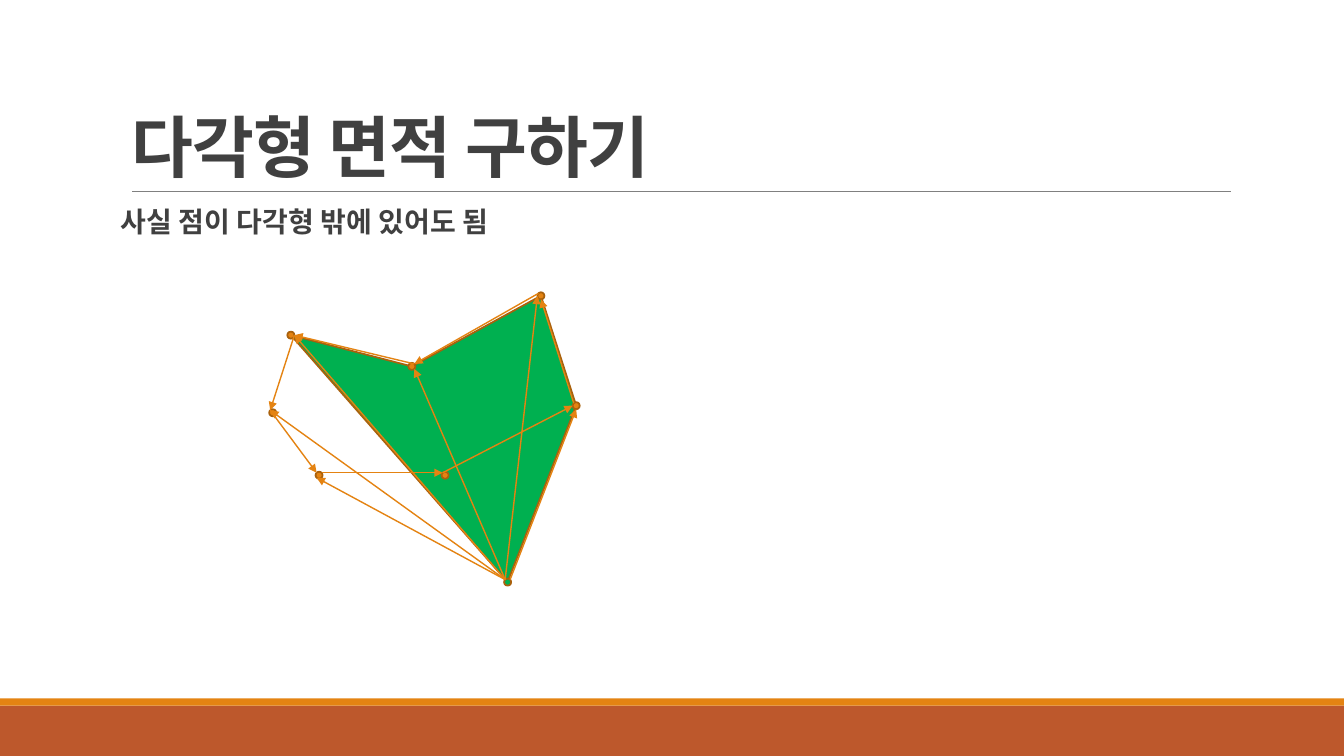
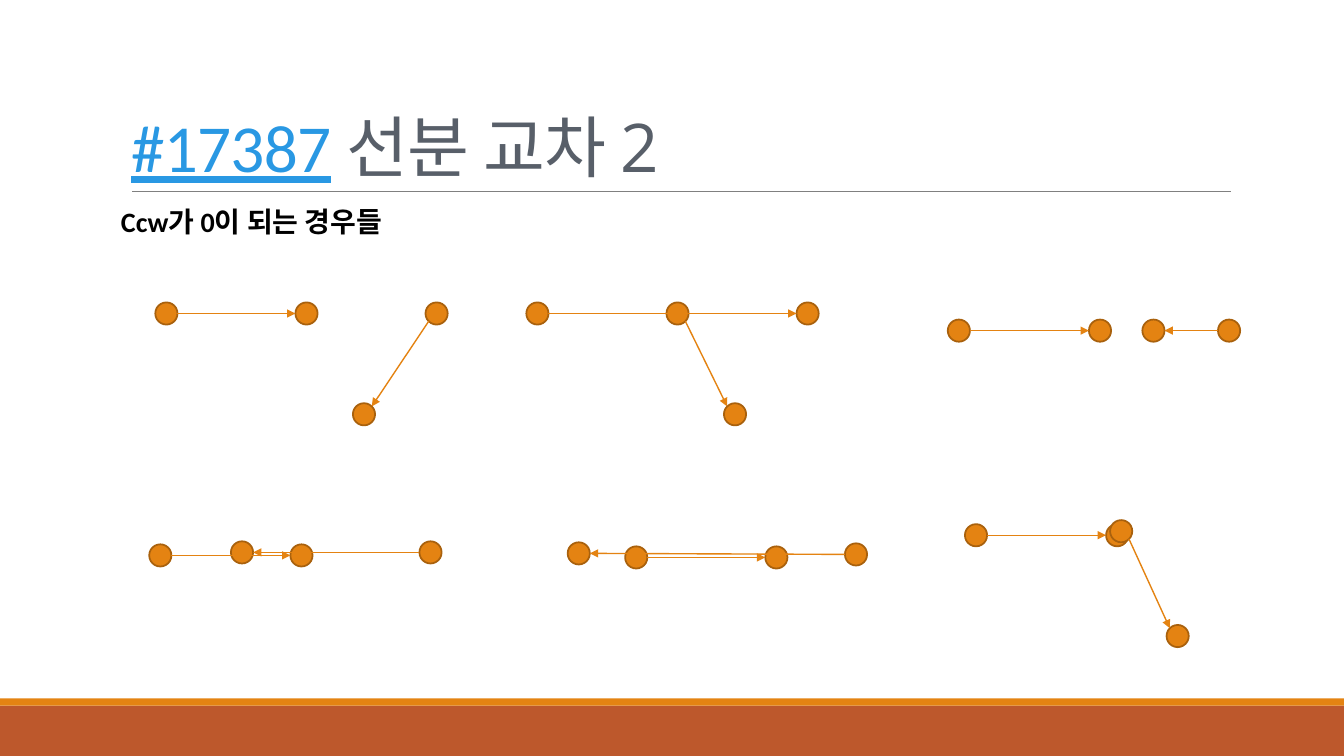
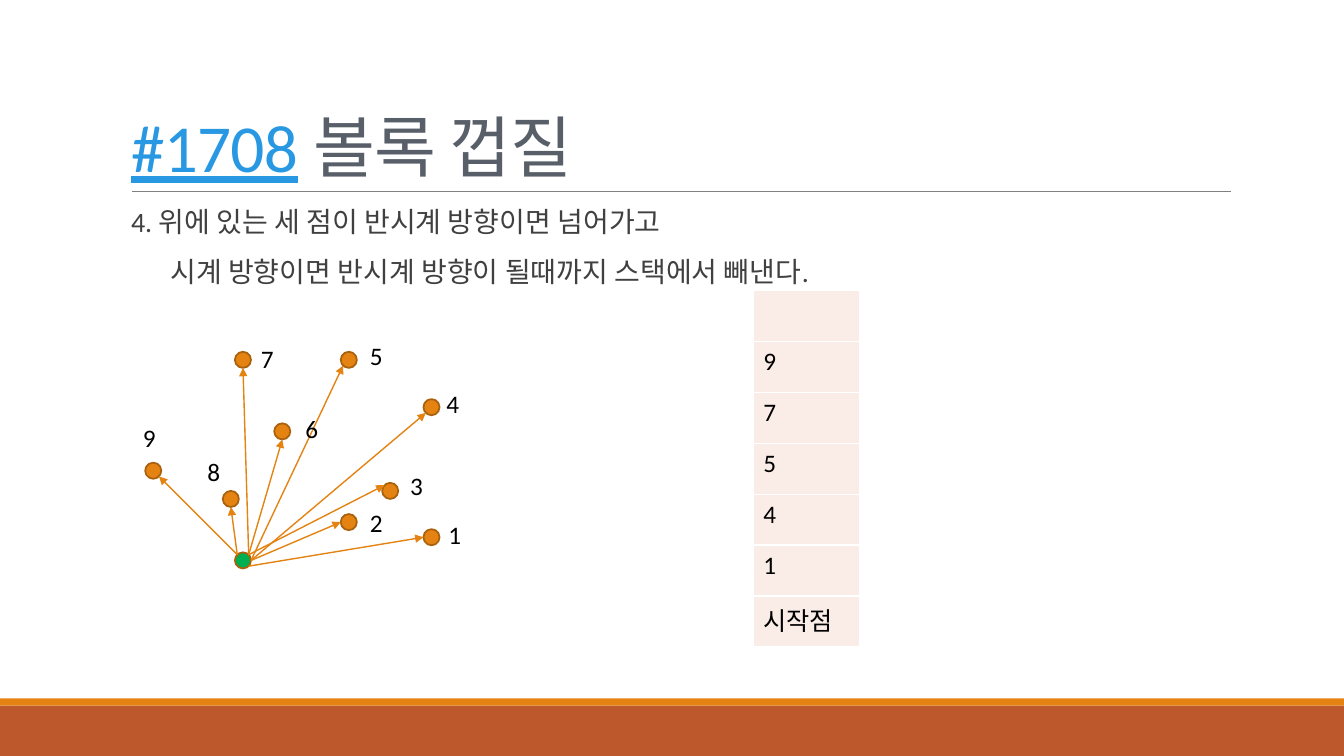
import lxml.etree
import pptx
import pptx.dml.color
import pptx.enum.shapes
import pptx.enum.text
import pptx.oxml.ns
import pptx.util

ORANGE, RUST, GREEN, BROWN = "E48312", "BD582C", "00B050", "A9610D"
DARK, SLATE, BLUE, GRAY = "404040", "585F69", "2998E3", "808080"
BLACK, WHITE, BLUSH = "000000", "FFFFFF", "FAEDE7"

BANDS = [((0, 7, 13.33, 0.5), RUST), ((0, 6.93, 13.33, 0.07), ORANGE)]
RULE = (1.31, 1.9, 12.21, 1.9)
TITLE_AREA = (1.2, 0.31, 11, 1.59)
BODY_AREA = (1.2, 2.02, 11, 4.4)

TITLE_FONT = {"name": "Calibri", "size": pptx.util.Pt(48), "bold": False, "underline": False}
BOLD_TITLE = TITLE_FONT | {"bold": True}
LINK_TITLE = TITLE_FONT | {"underline": True}
KOREAN_TITLE = TITLE_FONT | {"name": "Open Sans"}
BODY_FONT = {"name": "Calibri", "size": pptx.util.Pt(20), "bold": False}
BOLD_BODY = BODY_FONT | {"bold": True}
LABEL_FONT = {"name": "Calibri", "size": pptx.util.Pt(18)}
TITLE_SPACING = {"line_spacing": 0.85, "alignment": pptx.enum.text.PP_ALIGN.LEFT}
BODY_SPACING = {
    "line_spacing": 0.9,
    "space_before": pptx.util.Pt(12),
    "space_after": pptx.util.Pt(2),
}

DIAGONAL = 0.707
SITES = {
    "N": (0, -1), "S": (0, 1), "W": (-1, 0), "E": (1, 0),
    "NW": (-DIAGONAL, -DIAGONAL), "NE": (DIAGONAL, -DIAGONAL),
    "SW": (-DIAGONAL, DIAGONAL), "SE": (DIAGONAL, DIAGONAL),
}

AREA_TITLE = [("다각형 면적 구하기", BOLD_TITLE, DARK)]
AREA_BODY = [("사실 점이 다각형 밖에 있어도 됨", 0)]
AREA_DOT = 0.07
AREA_DOTS = [
    (5, 5.74), (3.13, 4.68), (4.38, 4.68), (5.68, 3.99),
    (5.33, 2.9), (4.05, 3.6), (2.85, 3.29), (2.67, 4.06),
]
AREA_OUTLINE = [0, 3, 4, 5, 6]
AREA_ARROWS = [
    (1, "NE", 2, "NW"), (2, "NW", 3, "W"), (3, "NW", 4, "S"), (4, "NW", 5, "NE"),
    (5, "NE", 6, "E"), (6, "E", 7, "NW"), (7, "NW", 1, "NW"),
    (0, "NE", 3, "S"), (0, "NW", 4, "W"), (0, "NW", 5, "SE"),
    (0, "NW", 6, "E"), (0, "NW", 7, "NW"), (0, "NW", 1, "SW"),
]

CROSS_TITLE = [("#17387", LINK_TITLE, BLUE), (" ", TITLE_FONT, DARK), ("선분 교차 2", KOREAN_TITLE, SLATE)]
CROSS_BODY = [("Ccw가 0이 되는 경우들", 0)]
CROSS_DOT = 0.22
CROSS_CASES = [
    ([(1.54, 3), (2.93, 3), (4.22, 3), (3.5, 4)], [(0, "E", 1, "W"), (2, "SW", 3, "NE")]),
    ([(5.22, 3), (6.61, 3), (7.9, 3), (7.18, 4)], [(0, "E", 2, "W"), (1, "SE", 3, "NW")]),
    ([(1.48, 5.4), (2.88, 5.4), (4.16, 5.37), (2.29, 5.37)], [(0, "E", 1, "W"), (2, "W", 3, "E")]),
    ([(9.4, 3.17), (10.8, 3.17), (12.08, 3.17), (11.33, 3.17)], [(0, "E", 1, "W"), (2, "W", 3, "E")]),
    ([(6.2, 5.42), (7.59, 5.42), (8.38, 5.39), (5.63, 5.38)], [(0, "E", 1, "W"), (2, "W", 3, "E")]),
    ([(9.57, 5.2), (10.97, 5.2), (11.01, 5.16), (11.57, 6.2)], [(0, "E", 1, "W"), (2, "SE", 3, "NW")]),
]

HULL_TITLE = [("#1708", LINK_TITLE, BLUE), (" ", TITLE_FONT, DARK), ("볼록 껍질", KOREAN_TITLE, SLATE)]
HULL_BODY = [
    ("4. 위에 있는 세 점이 반시계 방향이면 넘어가고", 0.1),
    ("시계 방향이면 반시계 방향이 될때까지 스택에서 빼낸다.", 0.49),
]
HULL_DOT = 0.16
HULL_DOTS = [
    (2.33, 5.48), (4.2, 5.25), (3.38, 5.1), (3.79, 4.79), (4.2, 3.96),
    (3.38, 3.49), (2.72, 4.2), (2.33, 3.49), (2.21, 4.87), (1.44, 4.59),
]
HULL_ARROWS = [
    (0, "SE", 1, "W"), (0, "E", 2, "W"), (0, "NE", 3, "NW"),
    (0, "E", 4, "SW"), (0, "E", 5, "SW"), (0, "NE", 6, "S"),
    (0, "NE", 7, "S"), (0, "NW", 8, "S"), (0, "NW", 9, "SE"),
]
HULL_LABELS = [
    (4.35, 5.1), (3.57, 4.98), (3.97, 4.62), (4.33, 3.8), (3.57, 3.33),
    (2.93, 4.05), (2.49, 3.36), (1.96, 4.48), (1.32, 4.14),
]
LABEL_SIZE = (1.73, 0.4)
STACK = ["", "9", "7", "5", "4", "1", "시작점"]
STACK_AREA = (7.47, 2.88, 1.06, 3.54)


def length(inches):
    return pptx.util.Cm(inches * 2.54)


def lengths(values):
    return [length(value) for value in values]


def color(hex_string):
    return pptx.dml.color.RGBColor.from_string(hex_string)


def add_xml(parent, tag, **attributes):
    return lxml.etree.SubElement(parent, pptx.oxml.ns.qn(tag), attributes)


def apply(target, values):
    for name, value in values.items():
        setattr(target, name, value)


def add_span(para, text, font, hex_string):
    span = para.add_run()
    span.text = text
    apply(span.font, font)
    span.font.color.rgb = color(hex_string)
    return span


def paint(shape, fill, line=None):
    shape.shadow.inherit = False
    shape.fill.solid()
    shape.fill.fore_color.rgb = color(fill)
    if line:
        shape.line.color.rgb = color(line)
        shape.line.width = pptx.util.Pt(1.25)
    else:
        shape.line.fill.background()


def add_line(shapes, ends, hex_string, width, arrow=False):
    line = shapes.add_connector(pptx.enum.shapes.MSO_CONNECTOR.STRAIGHT, *lengths(ends))
    line.line.color.rgb = color(hex_string)
    line.line.width = pptx.util.Pt(width)
    properties = line._element.spPr
    if arrow:
        add_xml(properties.find(pptx.oxml.ns.qn("a:ln")), "a:tailEnd", type="triangle")
    add_xml(properties, "a:effectLst")


def add_page(deck, title, body, body_font, body_color):
    page = deck.slides.add_slide(deck.slide_layouts[5])
    for area, fill in BANDS:
        band = page.shapes.add_shape(pptx.enum.shapes.MSO_SHAPE.RECTANGLE, *lengths(area))
        paint(band, fill)
    add_line(page.shapes, RULE, GRAY, 0.5)

    heading = page.shapes.title
    apply(heading, dict(zip(("left", "top", "width", "height"), lengths(TITLE_AREA))))
    apply(heading.text_frame, {
        "vertical_anchor": pptx.enum.text.MSO_ANCHOR.BOTTOM,
        "auto_size": pptx.enum.text.MSO_AUTO_SIZE.NONE,
        "word_wrap": True,
    })
    para = heading.text_frame.paragraphs[0]
    apply(para, TITLE_SPACING)
    for text, font, hex_string in title:
        span = add_span(para, text, font, hex_string)
        span.font._element.set("spc", "-50")

    frame = page.shapes.add_textbox(*lengths(BODY_AREA)).text_frame
    apply(frame, {"word_wrap": True, "margin_left": 0, "margin_right": 0})
    for index, (text, indent) in enumerate(body):
        para = frame.add_paragraph() if index else frame.paragraphs[0]
        apply(para, BODY_SPACING)
        para._p.get_or_add_pPr().set("marL", str(length(indent)))
        add_span(para, text, body_font, body_color)
    return page


def center(dot, size):
    return dot[0] + size / 2, dot[1] + size / 2


def site_point(dot, size, site):
    x, y = center(dot, size)
    across, down = SITES[site]
    return x + across * size / 2, y + down * size / 2


def add_graph(shapes, dots, arrows, size, green=None):
    for index, dot in enumerate(dots):
        circle = shapes.add_shape(pptx.enum.shapes.MSO_SHAPE.OVAL, *lengths((*dot, size, size)))
        paint(circle, GREEN if index == green else ORANGE, BROWN)
    for start, start_site, end, end_site in arrows:
        ends = site_point(dots[start], size, start_site) + site_point(dots[end], size, end_site)
        add_line(shapes, ends, ORANGE, 1, arrow=True)


def add_polygon(shapes, points):
    first, *rest = [tuple(lengths(point)) for point in points]
    builder = shapes.build_freeform(*first)
    builder.add_line_segments(rest, close=True)
    paint(builder.convert_to_shape(), GREEN, BROWN)


def add_labels(shapes, places):
    for number, place in enumerate(places, 1):
        frame = shapes.add_textbox(*lengths(place + LABEL_SIZE)).text_frame
        apply(frame, {"word_wrap": True, "auto_size": pptx.enum.text.MSO_AUTO_SIZE.SHAPE_TO_FIT_TEXT})
        add_span(frame.paragraphs[0], str(number), LABEL_FONT, BLACK)


def add_stack(shapes, items):
    table = shapes.add_table(len(items), 1, *lengths(STACK_AREA)).table
    apply(table, {"first_row": False, "horz_banding": False})
    for row, item in enumerate(items):
        cell = table.cell(row, 0)
        properties = cell._tc.get_or_add_tcPr()
        for side in ("a:lnL", "a:lnR", "a:lnT", "a:lnB"):
            border = add_xml(properties, side, w=str(pptx.util.Pt(1)))
            add_xml(add_xml(border, "a:solidFill"), "a:srgbClr", val=WHITE)
        cell.fill.solid()
        cell.fill.fore_color.rgb = color(BLUSH)
        if item:
            add_span(cell.text_frame.paragraphs[0], item, LABEL_FONT, BLACK)


deck = pptx.Presentation()
apply(deck, {"slide_width": length(13.33), "slide_height": length(7.5)})

area_page = add_page(deck, AREA_TITLE, AREA_BODY, BOLD_BODY, DARK)
add_polygon(area_page.shapes, [center(AREA_DOTS[index], AREA_DOT) for index in AREA_OUTLINE])
add_graph(area_page.shapes, AREA_DOTS, AREA_ARROWS, AREA_DOT, green=0)

cross_page = add_page(deck, CROSS_TITLE, CROSS_BODY, BOLD_BODY, BLACK)
for dots, arrows in CROSS_CASES:
    add_graph(cross_page.shapes.add_group_shape().shapes, dots, arrows, CROSS_DOT)

hull_page = add_page(deck, HULL_TITLE, HULL_BODY, BODY_FONT, DARK)
add_graph(hull_page.shapes, HULL_DOTS, HULL_ARROWS, HULL_DOT, green=0)
add_labels(hull_page.shapes, HULL_LABELS)
add_stack(hull_page.shapes, STACK)

deck.save("out.pptx")
